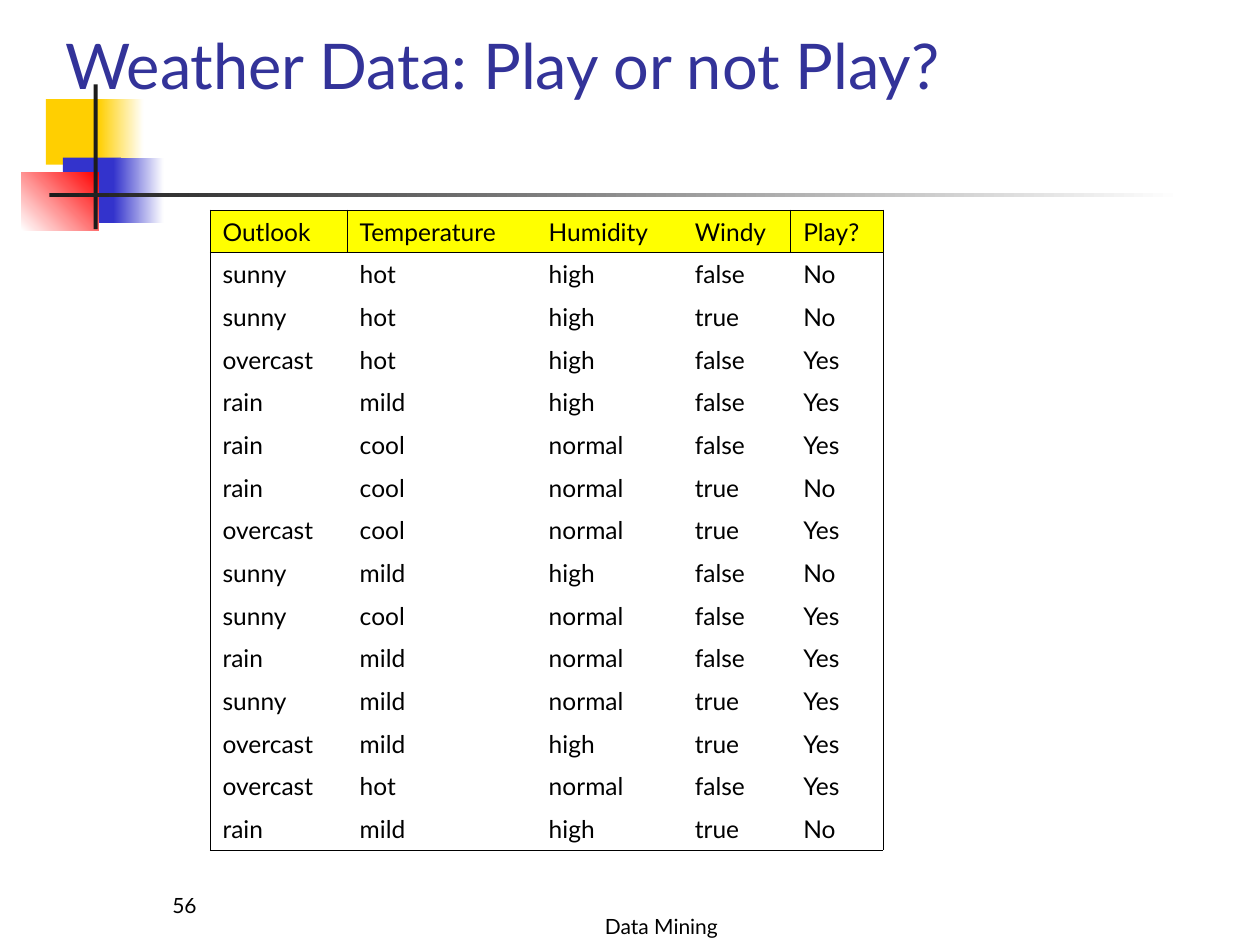
from dataclasses import dataclass

import lxml.etree
import pptx
import pptx.dml.color
import pptx.enum.shapes
import pptx.enum.text
import pptx.oxml.ns
import pptx.util

Pt = pptx.util.Pt
ALIGN = pptx.enum.text.PP_ALIGN
BOTTOM = pptx.enum.text.MSO_ANCHOR.BOTTOM


@dataclass(frozen=True)
class Theme:
    font: str = "Lato"
    title_size: float = 36
    table_size: float = 14
    footer_size: float = 12
    title: str = "333399"
    text: str = "000000"
    header: str = "FFFF00"
    gold: str = "FFCF01"
    blue: str = "3333CC"
    red: str = "FF0000"
    dark: str = "1C1C1C"
    white: str = "FFFFFF"
    rule: float = 0.45
    hairline: float = 0.06


def rgb(value):
    return pptx.dml.color.RGBColor.from_string(value)


class SlideBuilder:
    def __init__(self, slide, theme):
        self.slide = slide
        self.theme = theme

    def style(self, p, size, color, align=ALIGN.LEFT):
        p.alignment = align
        p.font.name = self.theme.font
        p.font.size = Pt(size)
        p.font.color.rgb = rgb(color)

    def block(self, left, top, width, height, color, end=None, angle=0):
        """Draw a borderless rectangle, shaded from color to end if end is given."""
        sp = self.slide.shapes.add_shape(
            pptx.enum.shapes.MSO_SHAPE.RECTANGLE,
            Pt(left), Pt(top), Pt(width), Pt(height))
        sp.shadow.inherit = False
        sp.line.fill.background()
        if end is None:
            sp.fill.solid()
            sp.fill.fore_color.rgb = rgb(color)
        else:
            sp.fill.gradient()
            sp.fill.gradient_angle = angle
            for stop, value in zip(sp.fill.gradient_stops, (color, end)):
                stop.color.rgb = rgb(value)

    def title(self, text, left, top, width, height):
        sp = self.slide.shapes.title
        sp.left, sp.top, sp.width, sp.height = Pt(left), Pt(top), Pt(width), Pt(height)
        tf = sp.text_frame
        tf.text = text
        tf.auto_size = pptx.enum.text.MSO_AUTO_SIZE.NONE
        tf.vertical_anchor = BOTTOM
        self.style(tf.paragraphs[0], self.theme.title_size, self.theme.title)
        sp.element.getparent().append(sp.element)  # in front of the blocks

    def footer(self, text, left, top, width, height, align=ALIGN.LEFT):
        tf = self.slide.shapes.add_textbox(
            Pt(left), Pt(top), Pt(width), Pt(height)).text_frame
        tf.word_wrap = True
        tf.vertical_anchor = BOTTOM
        tf.text = text
        self.style(tf.paragraphs[0], self.theme.footer_size, self.theme.text, align)

    def border(self, cell, side, width):
        """Set one cell side (L, R, T or B); a width of 0 hides it."""
        qn = pptx.oxml.ns.qn
        ln = lxml.etree.SubElement(
            cell._tc.get_or_add_tcPr(), qn(f"a:ln{side}"), w=str(int(Pt(width))))
        if width:
            fill = lxml.etree.SubElement(ln, qn("a:solidFill"))
            lxml.etree.SubElement(fill, qn("a:srgbClr"), val=self.theme.text)
        else:
            lxml.etree.SubElement(ln, qn("a:noFill"))

    def table(self, rows, left, top, widths, row_height):
        theme, n_rows, n_cols = self.theme, len(rows), len(widths)
        table = self.slide.shapes.add_table(
            n_rows, n_cols, Pt(left), Pt(top),
            Pt(sum(widths)), Pt(row_height * n_rows)).table
        table.first_row = table.horz_banding = False
        for column, width in zip(table.columns, widths):
            column.width = Pt(width)

        def vertical(row, edge):
            if edge in (0, n_cols):
                return theme.hairline
            return theme.rule if row == 0 and edge in (1, n_cols - 1) else 0

        def horizontal(edge):
            return theme.rule if edge in (0, 1, n_rows) else 0

        for i, values in enumerate(rows):
            table.rows[i].height = Pt(row_height)
            for j, value in enumerate(values):
                cell = table.cell(i, j)
                cell.text = value
                cell.vertical_anchor = BOTTOM
                self.style(cell.text_frame.paragraphs[0], theme.table_size, theme.text)
                self.border(cell, "L", vertical(i, j))
                self.border(cell, "R", vertical(i, j + 1))
                self.border(cell, "T", horizontal(i))
                self.border(cell, "B", horizontal(i + 1))
                if i == 0:
                    cell.fill.solid()
                    cell.fill.fore_color.rgb = rgb(theme.header)
                else:
                    cell.fill.background()


WEATHER = """\
Outlook Temperature Humidity Windy Play?
sunny hot high false No
sunny hot high true No
overcast hot high false Yes
rain mild high false Yes
rain cool normal false Yes
rain cool normal true No
overcast cool normal true Yes
sunny mild high false No
sunny cool normal false Yes
rain mild normal false Yes
sunny mild normal true Yes
overcast mild high true Yes
overcast hot normal false Yes
rain mild high true No"""


def main():
    prs = pptx.Presentation()
    prs.slide_width, prs.slide_height = Pt(720), Pt(540)
    theme = Theme()
    s = SlideBuilder(prs.slides.add_slide(prs.slide_layouts[5]), theme)

    s.block(26.2, 56.7, 34.5, 37.4, theme.gold)
    s.block(56.2, 56.7, 25.9, 37.4, theme.gold, theme.white)
    s.block(36, 90, 33.1, 37.4, theme.blue)
    s.block(64.8, 90, 28.8, 37.4, theme.blue, theme.white)
    s.block(12.2, 98.4, 44.2, 33.2, theme.white, theme.red, angle=45)
    s.block(53.5, 48.2, 2.3, 82.8, theme.dark)
    s.block(28.2, 110.4, 648, 2.4, theme.dark, theme.white)

    s.footer("56", 91.4, 491.8, 149.8, 36)
    s.title("Weather Data: Play or not Play?", 30, 0, 704, 62)
    s.table([line.split() for line in WEATHER.splitlines()],
            120, 120, (78.4, 108, 83.5, 62, 52.5), 24.4)
    s.footer("Data Mining", 264, 510, 228, 30, ALIGN.CENTER)

    prs.save("out.pptx")


if __name__ == "__main__":
    main()
